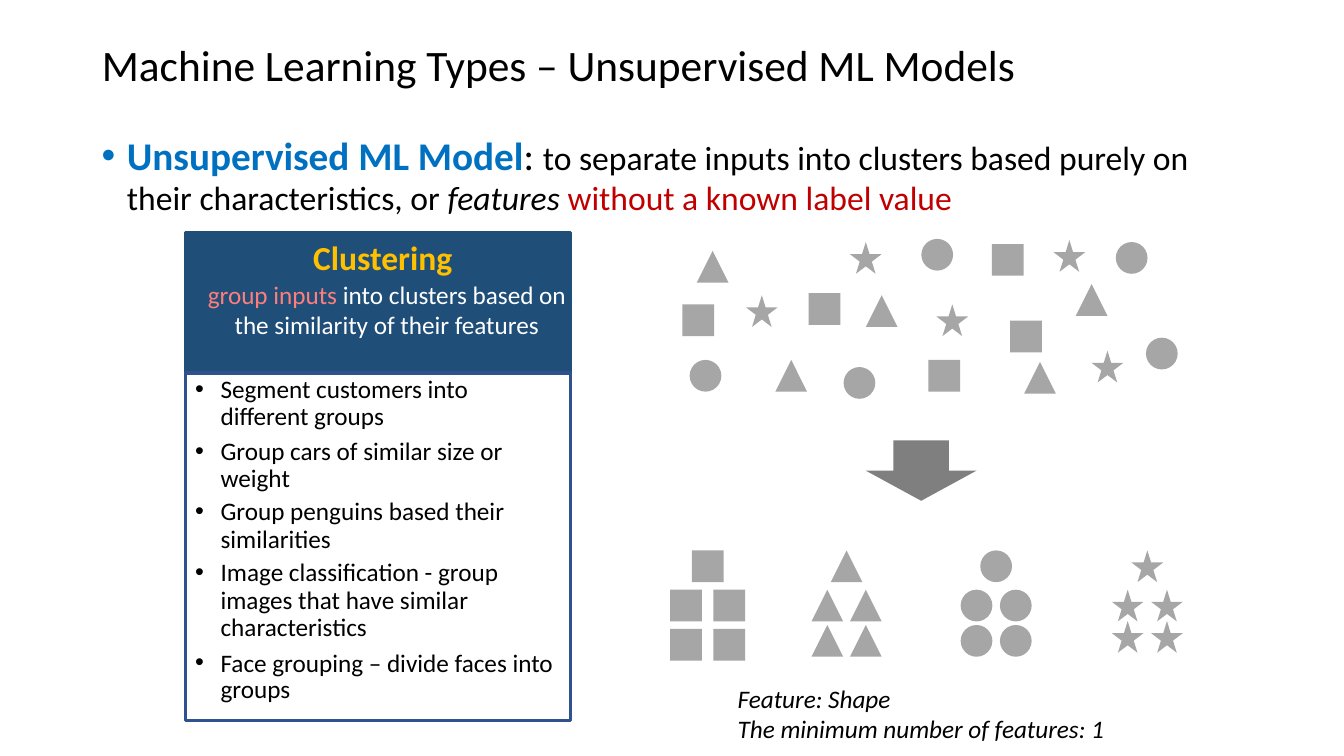
from lxml import etree
from pptx import Presentation
from pptx.dml.color import RGBColor
from pptx.enum.shapes import MSO_SHAPE
from pptx.enum.text import MSO_ANCHOR, PP_ALIGN
from pptx.oxml.ns import qn
from pptx.util import Cm, Pt

SQUARE = MSO_SHAPE.RECTANGLE
TRIANGLE = MSO_SHAPE.ISOSCELES_TRIANGLE
CIRCLE = MSO_SHAPE.OVAL
STAR = MSO_SHAPE.STAR_5_POINT
DOWN_ARROW = MSO_SHAPE.DOWN_ARROW
TOP = MSO_ANCHOR.TOP
LEFT = PP_ALIGN.LEFT
CENTER = PP_ALIGN.CENTER

BLACK = RGBColor(0x00, 0x00, 0x00)
WHITE = RGBColor(0xFF, 0xFF, 0xFF)
BLUE = RGBColor(0x00, 0x70, 0xC0)
RED = RGBColor(0xC0, 0x00, 0x00)
NAVY = RGBColor(0x1F, 0x4E, 0x79)
FRAME_BLUE = RGBColor(0x2F, 0x52, 0x8F)
GOLD = RGBColor(0xFF, 0xC0, 0x00)
CORAL = RGBColor(0xFF, 0x7E, 0x79)
LIGHT_GRAY = RGBColor(0xA6, 0xA6, 0xA6)
DARK_GRAY = RGBColor(0x7F, 0x7F, 0x7F)

FONT = "Calibri"
GLYPH_SIZE = 0.8

SCATTER = {
    SQUARE: [(0, 1.65), (3.18, 1.37), (8.26, 2.06), (7.8, 0.13), (6.2, 3.05)],
    TRIANGLE: [(4.62, 1.42), (9.91, 1.14), (2.34, 3.05), (0.36, 0.3), (8.61, 3.1)],
    CIRCLE: [(6.02, 0), (4.06, 3.23), (0.18, 3.05), (11.68, 2.49), (10.92, 0.08)],
    STAR: [(4.22, 0.08), (1.6, 1.42), (9.35, 0.03), (10.31, 2.82), (6.4, 1.65)],
}

CLUSTERS = [
    (SQUARE, 0, 1.09, 0.99),
    (TRIANGLE, 3.56, 0.97, 0.89),
    (CIRCLE, 7.32, 0.99, 0.89),
    (STAR, 11.13, 0.99, 0.79),
]

EXAMPLES = [
    ("Segment customers into different groups", 19.2, 0, 1.2),
    ("Group cars of similar size or weight", 19, 6, 1.2),
    ("Group penguins based their similarities", 19.9, 4.2, 1.2),
    ("Image classification - group images that have similar characteristics", 0.91, 4.1, 1.2),
    ("Face grouping – divide faces into groups", 19, 6.2, 0),
]


def prepare_frame(shape, top_inset):
    frame = shape.text_frame
    frame.word_wrap = True
    frame.vertical_anchor = TOP
    frame.margin_left = frame.margin_right = frame.margin_bottom = 0
    frame.margin_top = Cm(top_inset)
    return frame


def add_text_area(slide, left, top, width, height, top_inset):
    area = slide.shapes.add_textbox(Cm(left), Cm(top), Cm(width), Cm(height))
    return prepare_frame(area, top_inset)


def add_block(slide, kind, left, top, width, height, fill=None, line=None):
    block = slide.shapes.add_shape(kind, Cm(left), Cm(top), Cm(width), Cm(height))
    block.shadow.inherit = False
    if fill is None:
        block.fill.background()
    else:
        block.fill.solid()
        block.fill.fore_color.rgb = fill
    if line is None:
        block.line.fill.background()
    else:
        block.line.color.rgb = line
        block.line.width = Pt(2.25)
    return block


def style_paragraph(paragraph, indent=0, hanging=0, right=0, spacing=None, before=0, align=LEFT):
    properties = paragraph._p.get_or_add_pPr()
    properties.set("marL", str(Cm(indent)))
    properties.set("marR", str(Cm(right)))
    properties.set("indent", str(-Cm(hanging)))
    if hanging:
        etree.SubElement(properties, qn("a:buFont")).set("typeface", "Arial")
        etree.SubElement(properties, qn("a:buChar")).set("char", "•")
    paragraph.alignment = align
    paragraph.space_before = Pt(before)
    if spacing:
        paragraph.line_spacing = Pt(spacing) if spacing > 5 else spacing


def add_run(paragraph, text, size, color=BLACK, bold=False, italic=False):
    run = paragraph.add_run()
    run.text = text
    run.font.name = FONT
    run.font.size = Pt(size)
    run.font.bold = bold
    run.font.italic = italic
    run.font.color.rgb = color


def add_title(slide, left, top, width, height):
    title = add_text_area(slide, left, top, width, height, 0.05).paragraphs[0]
    style_paragraph(title)
    add_run(title, "Machine Learning Types – Unsupervised ML Models", 31)


def add_definition(slide, left, top, width, height):
    definition = add_text_area(slide, left, top, width, height, 0.25).paragraphs[0]
    style_paragraph(definition, indent=0.66, hanging=0.64, spacing=27.1)
    add_run(definition, "Unsupervised ML Model", 28, BLUE, bold=True)
    add_run(definition, ": ", 28)
    add_run(definition, "to separate inputs into clusters based purely on their characteristics, or ", 24)
    add_run(definition, "features ", 24, italic=True)
    add_run(definition, "without a known label value", 24, RED)


def add_clustering_card(slide, left, top, width, height):
    header_height = 3.53
    header = add_block(slide, SQUARE, left, top, width, header_height, NAVY, NAVY)
    header_frame = prepare_frame(header, 0.1)
    heading = header_frame.paragraphs[0]
    style_paragraph(heading, indent=0.25, align=CENTER)
    add_run(heading, "Clustering", 24, GOLD, bold=True)
    summary = header_frame.add_paragraph()
    style_paragraph(summary, indent=0.46, spacing=20.9, before=2.5, align=CENTER)
    add_run(summary, "group inputs ", 18, CORAL)
    add_run(summary, "into clusters based on the similarity of their features", 18, WHITE)

    body = add_block(slide, SQUARE, left, top + header_height, width,
                     height - header_height, line=FRAME_BLUE)
    body_frame = prepare_frame(body, 0.1)
    for index, (text, spacing, before, right) in enumerate(EXAMPLES):
        example = body_frame.add_paragraph() if index else body_frame.paragraphs[0]
        style_paragraph(example, 0.89, 0.64, right, spacing, before)
        add_run(example, text, 18)


def add_glyph(slide, kind, left, top):
    add_block(slide, kind, left, top, GLYPH_SIZE, GLYPH_SIZE, LIGHT_GRAY)


def add_scatter(slide, left, top):
    for kind, offsets in SCATTER.items():
        for x, y in offsets:
            add_glyph(slide, kind, left + x, top + y)


def add_clusters(slide, left, top):
    first_row = 0.99
    for kind, offset, column_step, row_step in CLUSTERS:
        add_glyph(slide, kind, left + offset + column_step / 2, top)
        for row in range(2):
            for column in range(2):
                add_glyph(slide, kind, left + offset + column * column_step,
                          top + first_row + row * row_step)


def add_caption(slide, left, top, width, height):
    frame = add_text_area(slide, left, top, width, height, 0.03)
    feature, minimum = frame.paragraphs[0], frame.add_paragraph()
    for line, text in ((feature, "Feature: Shape"), (minimum, "The minimum number of features: 1")):
        style_paragraph(line, spacing=21.4)
        add_run(line, text, 18, italic=True)


def main():
    presentation = Presentation()
    presentation.slide_width = Cm(33.87)
    presentation.slide_height = Cm(19.05)
    slide = presentation.slides.add_slide(presentation.slide_layouts[6])
    add_title(slide, 2.57, 0.91, 29.85, 1.4)
    add_definition(slide, 2.54, 3.3, 27.7, 2.18)
    add_clustering_card(slide, 4.67, 5.87, 9.7, 12.29)
    add_scatter(slide, 17.2, 6.02)
    add_block(slide, DOWN_ARROW, 21.82, 11.1, 2.79, 1.52, DARK_GRAY)
    add_clusters(slide, 16.89, 13.87)
    add_caption(slide, 18.59, 17.2, 9.32, 1.57)
    presentation.save("out.pptx")


if __name__ == "__main__":
    main()
